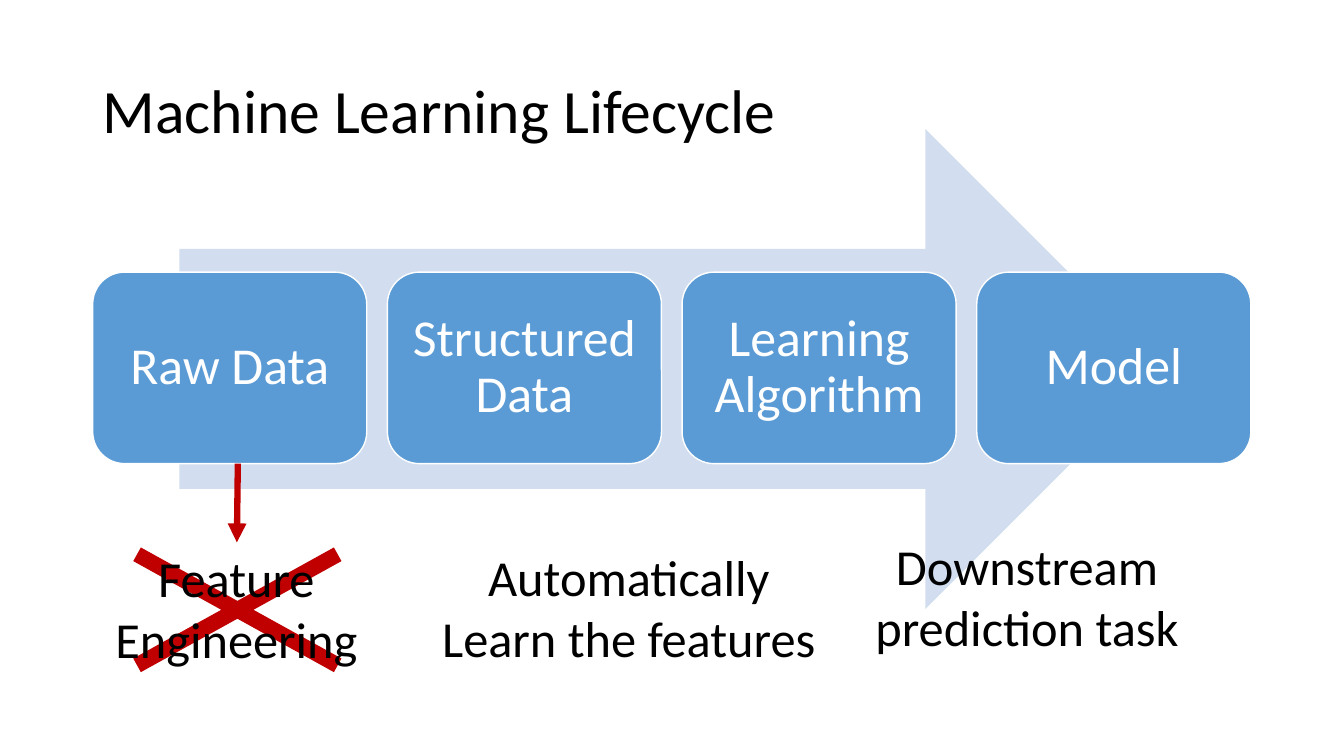
from dataclasses import dataclass

from lxml import etree
from pptx import Presentation
from pptx.dml.color import RGBColor
from pptx.enum.shapes import MSO_CONNECTOR, MSO_SHAPE
from pptx.enum.text import MSO_ANCHOR, PP_ALIGN
from pptx.oxml.ns import qn
from pptx.util import Pt

MULTIPLY, RIGHT_ARROW = MSO_SHAPE.MATH_MULTIPLY, MSO_SHAPE.RIGHT_ARROW
ROUNDED = MSO_SHAPE.ROUNDED_RECTANGLE
STRAIGHT = MSO_CONNECTOR.STRAIGHT
TOP, MIDDLE = MSO_ANCHOR.TOP, MSO_ANCHOR.MIDDLE
LEFT, CENTER = PP_ALIGN.LEFT, PP_ALIGN.CENTER

BLACK = RGBColor(0x00, 0x00, 0x00)
WHITE = RGBColor(0xFF, 0xFF, 0xFF)
RED = RGBColor(0xC0, 0x00, 0x00)
BLUE = RGBColor(0x5B, 0x9B, 0xD5)
PALE_BLUE = RGBColor(0xD2, 0xDE, 0xEF)
FONT = "Calibri"


@dataclass
class Area:
    left: float
    top: float
    width: float
    height: float

    def lengths(self) -> tuple:
        return Pt(self.left), Pt(self.top), Pt(self.width), Pt(self.height)


@dataclass
class Caption:
    area: Area
    lines: tuple


STAGES = ("Raw Data", "Structured Data", "Learning Algorithm", "Model")
FIRST_STAGE = Area(66.2, 194.4, 195.8, 136.8)
STAGE_STEP = 210.5
CAPTIONS = (
    Caption(Area(74.2, 387.4, 189.4, 94.3), ("Feature", "Engineering")),
    Caption(Area(307.4, 386.6, 283.7, 94.3), ("Automatically", "Learn the features")),
    Caption(Area(617, 378.7, 233.3, 94.3), ("Downstream", "prediction task")),
)

deck = Presentation()
deck.slide_width, deck.slide_height = Pt(960), Pt(540)
page = deck.slides.add_slide(deck.slide_layouts[6])


def add_shape(kind: MSO_SHAPE, area: Area, color: RGBColor):
    shape = page.shapes.add_shape(kind, *area.lengths())
    shape.shadow.inherit = False
    shape.fill.solid()
    shape.fill.fore_color.rgb = color
    shape.line.fill.background()
    return shape


def write(frame, lines: tuple, size: float, color: RGBColor, align: PP_ALIGN,
          anchor: MSO_ANCHOR, spacing: float = 1.0, wrap: bool = True) -> None:
    frame.word_wrap = wrap
    frame.vertical_anchor = anchor
    for index, line in enumerate(lines):
        para = frame.add_paragraph() if index else frame.paragraphs[0]
        para.alignment = align
        para.line_spacing = spacing
        span = para.add_run()
        span.text = line
        span.font.name = FONT
        span.font.size = Pt(size)
        span.font.color.rgb = color


def add_stage(index: int, name: str) -> None:
    area = Area(FIRST_STAGE.left + index * STAGE_STEP, FIRST_STAGE.top,
                FIRST_STAGE.width, FIRST_STAGE.height)
    box = add_shape(ROUNDED, area, BLUE)
    box.line.color.rgb = WHITE
    box.line.width = Pt(1)
    frame = box.text_frame
    frame.margin_left = frame.margin_right = Pt(10)
    write(frame, (name,), 37, WHITE, CENTER, MIDDLE, 0.9)


def add_caption(caption: Caption) -> None:
    box = page.shapes.add_textbox(*caption.area.lengths())
    write(box.text_frame, caption.lines, 36, BLACK, CENTER, TOP, wrap=False)


def add_red_arrow(start: tuple, end: tuple) -> None:
    arrow = page.shapes.add_connector(STRAIGHT, *map(Pt, start + end))
    arrow.line.color.rgb = RED
    arrow.line.width = Pt(4.5)
    line = arrow.line._get_or_add_ln()
    etree.SubElement(line, qn("a:tailEnd"), type="triangle")
    etree.SubElement(arrow._element.spPr, qn("a:effectLst"))


cross = add_shape(MULTIPLY, Area(31.7, 359.3, 275.8, 152.6), RED)
cross.adjustments[0] = 0.073

title = page.shapes.add_textbox(*Area(66.2, 28.8, 828, 104.4).lengths())
write(title.text_frame, ("Machine Learning Lifecycle",), 44, BLACK, LEFT, MIDDLE, 0.9)

add_shape(RIGHT_ARROW, Area(128.2, 92.2, 704.2, 342.7), PALE_BLUE)
for position, stage in enumerate(STAGES):
    add_stage(position, stage)

add_red_arrow((169.9, 331.2), (169.2, 387.4))
for caption in CAPTIONS:
    add_caption(caption)

deck.save("out.pptx")
